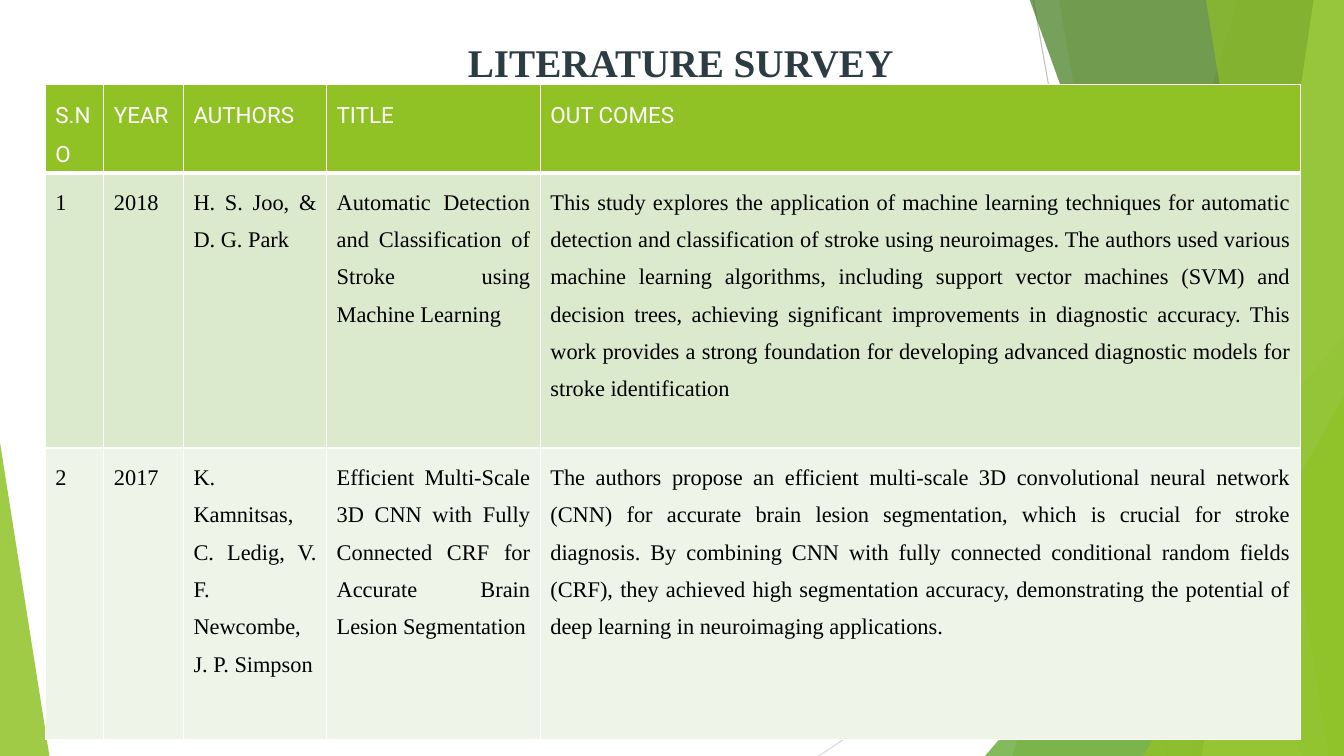
from dataclasses import dataclass

from pptx import Presentation
from pptx.dml.color import RGBColor
from pptx.enum.shapes import MSO_CONNECTOR as CONN, MSO_SHAPE as SHAPE
from pptx.enum.text import PP_ALIGN as ALIGN
from pptx.oxml import parse_xml
from pptx.oxml.ns import nsdecls, qn
from pptx.util import Inches, Pt

WIDTH, HEIGHT = 13.33, 7.5
SERIF, SANS = "Times New Roman", "Roboto"
GREEN, WHITE, BLACK = "90C226", "FFFFFF", "000000"


@dataclass
class Ray:
    start: tuple[float, float]
    end: tuple[float, float]
    color: str


@dataclass
class Facet:
    top_x: float
    bottom_x: float
    color: str
    opacity: int


@dataclass
class Corner:
    left: float
    top: float
    width: float
    apex: float
    color: str
    opacity: int


@dataclass
class Row:
    height: float
    fill: str
    font: str
    color: str
    align: ALIGN
    texts: list[str]


DECOR = [
    Ray((10.25, 0), (11.58, HEIGHT), "BFBFBF"),
    Ray((WIDTH, 4.03), (8.12, HEIGHT), "D9D9D9"),
    Facet(12.28, 10.04, GREEN, 30),
    Facet(10.5, 11.83, GREEN, 20),
    Corner(9.77, 3.33, 3.56, 1, "54A021", 72),
    Facet(10.21, 12.91, "3F7819", 70),
    Facet(13.03, 11.92, "C0E474", 70),
    Facet(11.96, 13.18, GREEN, 65),
    Corner(11.34, 3.93, 1.99, 1, GREEN, 80),
    Corner(0, 4.39, 0.49, 0, GREEN, 85),
]

COLUMNS = [0.58, 0.79, 1.42, 2.12, 7.54]
ROWS = [
    Row(0.8, GREEN, SANS, WHITE, ALIGN.LEFT, ["S.NO", "YEAR", "AUTHORS", "TITLE", "OUT COMES"]),
    Row(2.73, "DBE9CD", SERIF, BLACK, ALIGN.JUSTIFY, [
        "1", "2018", "H. S. Joo, & D. G. Park",
        "Automatic Detection and Classification of Stroke using Machine Learning",
        "This study explores the application of machine learning techniques for automatic "
        "detection and classification of stroke using neuroimages. The authors used various "
        "machine learning algorithms, including support vector machines (SVM) and decision "
        "trees, achieving significant improvements in diagnostic accuracy. This work provides "
        "a strong foundation for developing advanced diagnostic models for stroke identification",
    ]),
    Row(2.89, "EEF4E8", SERIF, BLACK, ALIGN.JUSTIFY, [
        "2", "2017", "K. Kamnitsas, C. Ledig, V. F. Newcombe, J. P. Simpson",
        "Efficient Multi-Scale 3D CNN with Fully Connected CRF for Accurate Brain Lesion Segmentation",
        "The authors propose an efficient multi-scale 3D convolutional neural network (CNN) for "
        "accurate brain lesion segmentation, which is crucial for stroke diagnosis. By combining "
        "CNN with fully connected conditional random fields (CRF), they achieved high segmentation "
        "accuracy, demonstrating the potential of deep learning in neuroimaging applications.",
    ]),
]


def paint(fmt, color: str) -> None:
    fmt.rgb = RGBColor.from_string(color)


def fill_shape(sp, color: str, opacity: int) -> None:
    sp.shadow.inherit = False
    sp.line.fill.background()
    sp.fill.solid()
    paint(sp.fill.fore_color, color)
    clr = sp._element.spPr.find(qn("a:solidFill"))[0]
    clr.append(parse_xml(f'<a:alpha {nsdecls("a")} val="{opacity * 1000}"/>'))


def draw_ray(s, ray: Ray) -> None:
    ends = [Inches(v) for v in (*ray.start, *ray.end)]
    cn = s.shapes.add_connector(CONN.STRAIGHT, *ends)
    cn.line.width = Pt(0.75)
    paint(cn.line.color, ray.color)
    cn._element.spPr.append(parse_xml(f'<a:effectLst {nsdecls("a")}/>'))


def draw_facet(s, facet: Facet) -> None:
    top = Inches(-0.01)
    right, bottom = Inches(WIDTH), Inches(HEIGHT)
    fb = s.shapes.build_freeform(Inches(facet.top_x), top)
    fb.add_line_segments([(right, top), (right, bottom), (Inches(facet.bottom_x), bottom)])
    fill_shape(fb.convert_to_shape(), facet.color, facet.opacity)


def draw_corner(s, corner: Corner) -> None:
    sp = s.shapes.add_shape(SHAPE.ISOSCELES_TRIANGLE, Inches(corner.left), Inches(corner.top),
                            Inches(corner.width), Inches(HEIGHT - corner.top))
    sp.adjustments[0] = corner.apex
    fill_shape(sp, corner.color, corner.opacity)


def write(tf, text: str, *, font: str, size: float, color: str, align: ALIGN,
          spacing: float, bold: bool = False) -> None:
    tf.word_wrap = True
    p = tf.paragraphs[0]
    p.alignment, p.line_spacing = align, spacing
    r = p.add_run()
    r.text = text
    r.font.name, r.font.size, r.font.bold = font, Pt(size), bold
    paint(r.font.color, color)


def add_borders(cell, bottom: float) -> None:
    tcPr = cell._tc.get_or_add_tcPr()
    for i, (side, width) in enumerate(zip("LRTB", (1, 1, 1, bottom))):
        tcPr.insert(i, parse_xml(
            f'<a:ln{side} {nsdecls("a")} w="{Pt(width)}"><a:solidFill>'
            f'<a:srgbClr val="{WHITE}"/></a:solidFill></a:ln{side}>'))


def draw_survey(s) -> None:
    tbl = s.shapes.add_table(len(ROWS), len(COLUMNS), Inches(0.45), Inches(0.84),
                             Inches(sum(COLUMNS)), Inches(sum(r.height for r in ROWS))).table
    for col, width in zip(tbl.columns, COLUMNS):
        col.width = Inches(width)
    for i, row in enumerate(ROWS):
        tbl.rows[i].height = Inches(row.height)
        for j, text in enumerate(row.texts):
            cell = tbl.cell(i, j)
            cell.fill.solid()
            paint(cell.fill.fore_color, row.fill)
            add_borders(cell, 3 if i == 0 else 1)
            write(cell.text_frame, text, font=row.font, size=16, color=row.color,
                  align=row.align, spacing=1.5)


def draw_title(s) -> None:
    tf = s.shapes.add_textbox(Inches(1.55), 0, Inches(9.4), Inches(1.02)).text_frame
    write(tf, "LITERATURE SURVEY", font=SERIF, size=28, color="2C3C43",
          align=ALIGN.CENTER, spacing=1.7, bold=True)
    pPr = tf.paragraphs[0]._p.get_or_add_pPr()
    pPr.set("marL", str(Inches(1)))
    pPr.set("indent", "0")


def main() -> None:
    prs = Presentation()
    prs.slide_width, prs.slide_height = Inches(WIDTH), Inches(HEIGHT)
    s = prs.slides.add_slide(prs.slide_layouts[6])
    painters = {Ray: draw_ray, Facet: draw_facet, Corner: draw_corner}
    for item in DECOR:
        painters[type(item)](s, item)
    draw_survey(s)
    draw_title(s)
    prs.save("out.pptx")


if __name__ == "__main__":
    main()
